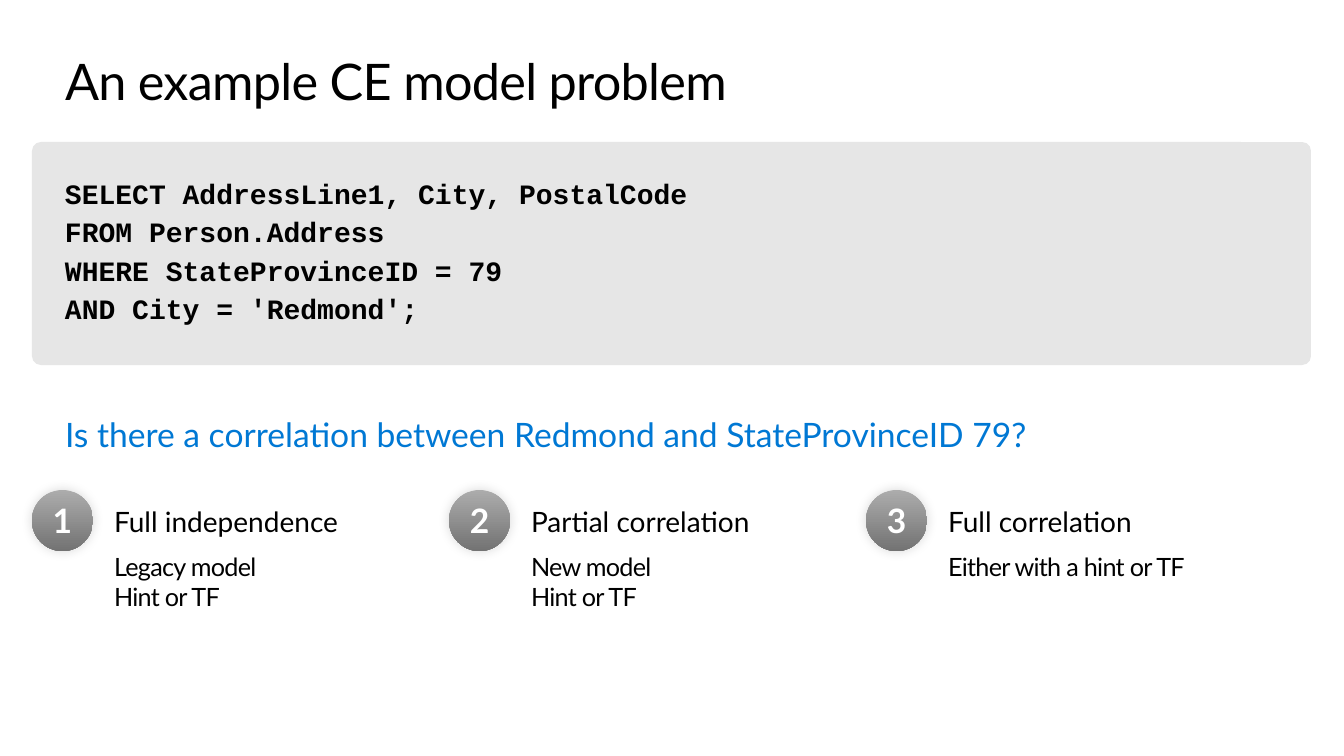
from lxml import etree
from pptx import Presentation
from pptx import util as u
from pptx.dml.color import RGBColor
from pptx.enum import shapes, text
from pptx.oxml.ns import qn

# Content
TITLE = "An example CE model problem"
QUERY = [
    "SELECT AddressLine1, City, PostalCode FROM Person.Address",
    "WHERE StateProvinceID = 79",
    "AND City = 'Redmond';",
]
QUESTION = "Is there a correlation between Redmond and StateProvinceID 79?"
OPTIONS = [
    ("Full independence", ["Legacy model", "Hint or TF"]),
    ("Partial correlation", ["New model", "Hint or TF"]),
    ("Full correlation", ["Either with a hint or TF"]),
]

# Layout in px
PX = 9071  # EMU per px, 100.8 px to the inch
WIDTH, HEIGHT = 1344, 756
MARGIN, TEXT_LEFT = 32, 65
BADGE_TOP, BADGE_SIZE, COLUMN_STEP = 490, 61, 417
LABEL_TOP, DETAIL_TOP, LABEL_WIDTH, LABEL_INDENT = 504, 551, 345, 20
BLACK, WHITE, BLUE, GREY = "000000", "FFFFFF", "0078D4", "E6E6E6"
BADGE_GRADIENT = ("ACACAC", "737373")


def color(value):
    return RGBColor.from_string(value)


def px(*lengths):
    return [u.Emu(length * PX) for length in lengths]


def write(shape, lines, size, ink=BLACK, font="Lato", bold=False,
          tracking=0, spacing=None, align=None, insets=(0, 0, 0, 0)):
    frame = shape.text_frame
    frame.word_wrap = True
    (frame.margin_left, frame.margin_top,
     frame.margin_right, frame.margin_bottom) = px(*insets)
    for index, line in enumerate(lines):
        para = frame.add_paragraph() if index else frame.paragraphs[0]
        span = para.add_run()
        span.text = line
        if tracking:
            span._r.get_or_add_rPr().set("spc", str(int(tracking * 100)))
        para.alignment = align
        para.line_spacing = spacing
        para.font.name, para.font.size = font, u.Pt(size)
        para.font.bold = bold
        para.font.color.rgb = color(ink)


def add_text(page, area, lines, size, **style):
    box = page.shapes.add_textbox(*px(*area))
    write(box, lines, size, **style)


def add_badge(page, left, number):
    badge = page.shapes.add_shape(
        shapes.MSO_SHAPE.OVAL, *px(left, BADGE_TOP, BADGE_SIZE, BADGE_SIZE))
    badge.fill.gradient()
    badge.fill.gradient_angle = 270
    for stop, value in zip(badge.fill.gradient_stops, BADGE_GRADIENT):
        stop.color.rgb = color(value)
    badge.line.fill.background()
    # Soft glow-like shadow
    badge.shadow.inherit = False
    effects = badge._element.spPr.find(qn("a:effectLst"))
    shadow = etree.SubElement(effects, qn("a:outerShdw"), blurRad=str(u.Pt(8)),
                              dist="0", dir="2700000", rotWithShape="0")
    shade = etree.SubElement(shadow, qn("a:srgbClr"), val=BLACK)
    etree.SubElement(shade, qn("a:alpha"), val="15000")
    badge.text_frame.vertical_anchor = text.MSO_ANCHOR.MIDDLE
    write(badge, [str(number)], 24, ink=WHITE, bold=True,
          align=text.PP_ALIGN.CENTER, insets=(0, 16, 0, 16))


def main():
    deck = Presentation()
    deck.slide_width, deck.slide_height = px(WIDTH, HEIGHT)
    page = deck.slides.add_slide(deck.slide_layouts[6])

    # Query panel
    panel = page.shapes.add_shape(
        shapes.MSO_SHAPE.ROUNDED_RECTANGLE, *px(MARGIN, 142, 1279, 223))
    panel.adjustments[0] = 0.04
    panel.fill.solid()
    panel.fill.fore_color.rgb = color(GREY)
    panel.line.fill.background()
    panel.shadow.inherit = False

    # Title, query and question
    add_text(page, (TEXT_LEFT, 50, 1215, 61), [TITLE], 36, tracking=-0.5)
    add_text(page, (TEXT_LEFT, 171, 660, 154), QUERY, 20,
             font="Courier New", bold=True, spacing=1.15)
    add_text(page, (TEXT_LEFT, 414, 1180, 40), [QUESTION], 24, ink=BLUE)

    # Numbered options
    indent = (LABEL_INDENT, 0, 0, 0)
    for index, (label, details) in enumerate(OPTIONS):
        left = MARGIN + index * COLUMN_STEP
        label_left = left + BADGE_SIZE + 1
        add_text(page, (label_left, LABEL_TOP, LABEL_WIDTH, 34), [label], 20,
                 insets=indent)
        add_text(page, (label_left, DETAIL_TOP, LABEL_WIDTH, 30 * len(details)),
                 details, 18, tracking=-0.5, insets=indent)
        add_badge(page, left, index + 1)

    deck.save("out.pptx")


if __name__ == "__main__":
    main()
